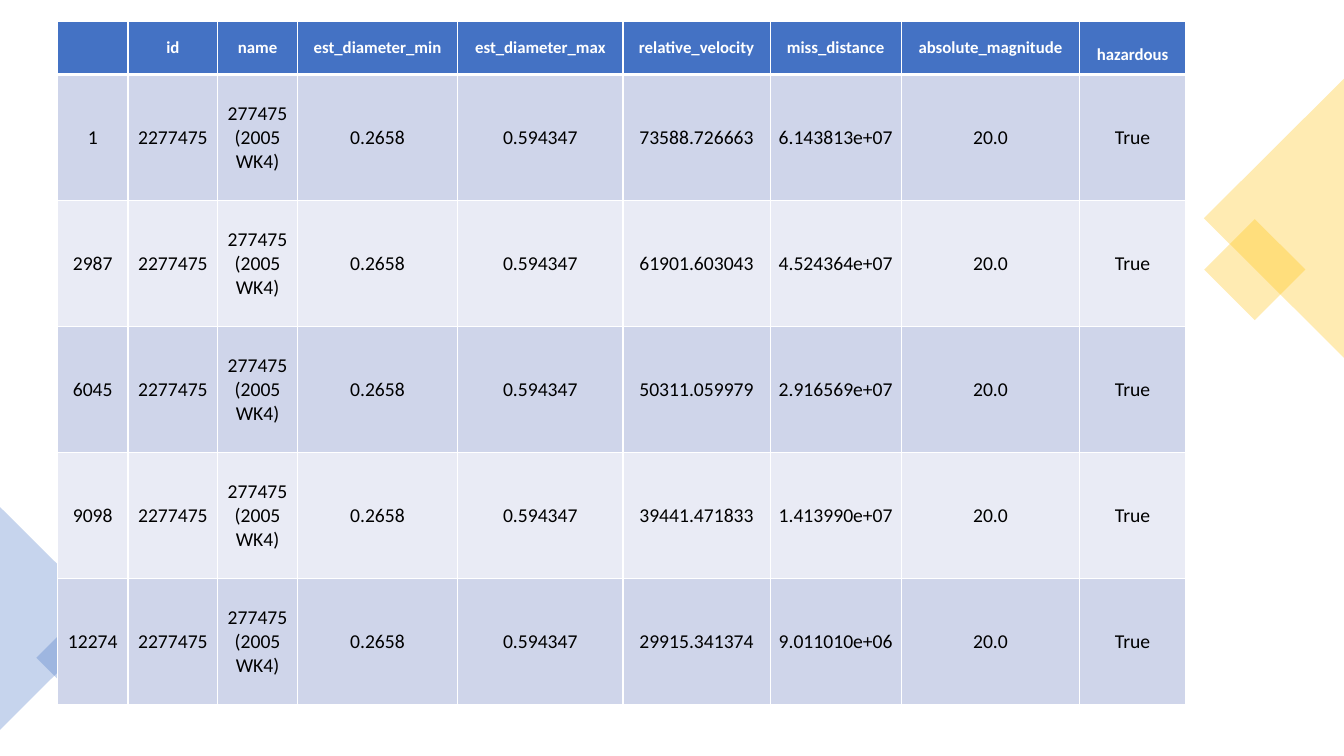
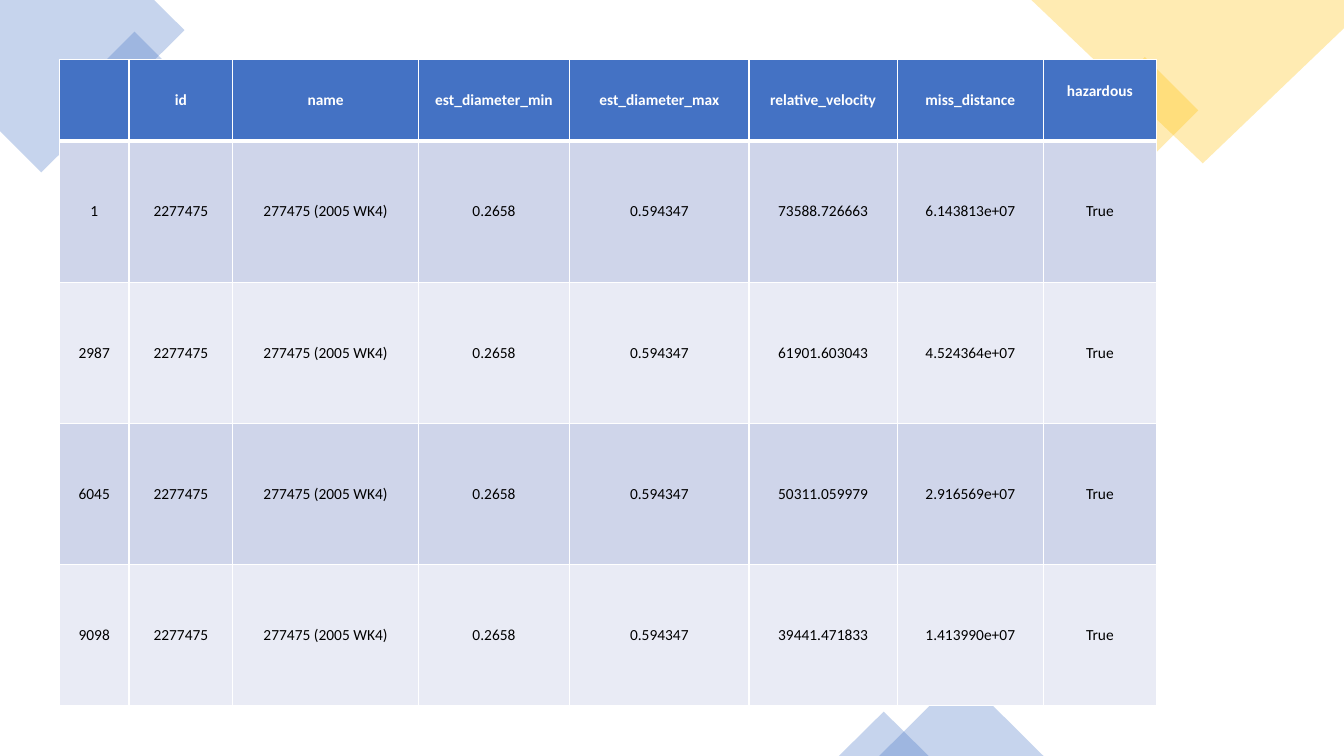
from lxml.etree import SubElement
from pptx import Presentation
from pptx.dml.color import RGBColor
from pptx.enum.shapes import MSO_SHAPE as Preset
from pptx.enum.text import MSO_ANCHOR as Anchor, PP_ALIGN as Align
from pptx.oxml.ns import qn
from pptx.util import Inches, Pt

BLUE, GOLD, WHITE, BLACK = "4472C4", "FFC000", "FFFFFF", "000000"
BANDS = ["CFD5EA", "E9EBF5"]
FONT = "Calibri"
LINE_HEIGHT = 1.22


def paint(fill, color, alpha=None):
    fill.solid()
    fill.fore_color.rgb = RGBColor.from_string(color)
    if alpha:
        tone = fill._xPr.find(qn("a:solidFill"))[0]
        SubElement(tone, qn("a:alpha")).set("val", str(alpha * 1000))


def add_border(cell, side, points):
    line = SubElement(cell._tc.get_or_add_tcPr(), qn(f"a:ln{side}"), w=str(Pt(points)))
    SubElement(SubElement(line, qn("a:solidFill")), qn("a:srgbClr"), val=WHITE)


fields = ["", "id", "name", "est_diameter_min", "est_diameter_max",
          "relative_velocity", "miss_distance", "absolute_magnitude", "hazardous"]
approaches = [
    ("1", "73588.726663", "6.143813e+07"),
    ("2987", "61901.603043", "4.524364e+07"),
    ("6045", "50311.059979", "2.916569e+07"),
    ("9098", "39441.471833", "1.413990e+07"),
    ("12274", "29915.341374", "9.011010e+06"),
]
records = [[index, "2277475", "277475 (2005 WK4)", "0.2658", "0.594347",
            velocity, distance, "20.0", "True"]
           for index, velocity, distance in approaches]
reduced = [row[:7] + row[8:] for row in [fields] + records[:4]]

pages = [
    {
        "presets": [
            (Preset.RECTANGLE, 12.09, 2.32, 0.71, 0.71, 45, GOLD),
            (Preset.ISOSCELES_TRIANGLE, 11.25, 1.47, 2.77, 1.39, 270, GOLD),
            (Preset.ISOSCELES_TRIANGLE, -0.55, 5.58, 2.21, 1.11, 90, BLUE),
            (Preset.RECTANGLE, 0.47, 6.26, 0.53, 0.53, 45, BLUE),
        ],
        "corners": [],
        "rows": [fields] + records,
        "place": (0.57, 0.21),
        "widths": [0.7, 0.89, 0.79, 1.59, 1.64, 1.46, 1.3, 1.77, 1.05],
        "heights": (0.53, 1.25),
        "sizes": (12, 14),
        "inset": 0.02,
    },
    {
        "presets": [
            (Preset.RECTANGLE, 0.98, 0.46, 0.71, 0.71, 315, BLUE),
            (Preset.RECTANGLE, 10.98, 0.72, 0.75, 0.75, 315, GOLD),
            (Preset.ISOSCELES_TRIANGLE, 8.72, 6.69, 1.63, 0.81, 0, BLUE),
            (Preset.ISOSCELES_TRIANGLE, 8.32, 7.06, 0.89, 0.44, 0, BLUE),
        ],
        "corners": [
            ([(1.53, 0), (0, 0), (0, 1.3), (0.41, 1.71), (1.83, 0.3)], BLUE),
            ([(13.33, 0), (10.23, 0), (11.93, 1.62), (13.33, 0.28)], GOLD),
        ],
        "rows": reduced,
        "place": (0.59, 0.59),
        "widths": [0.69, 1.03, 1.84, 1.5, 1.78, 1.47, 1.45, 1.12],
        "heights": (0.81, 1.4),
        "sizes": (11, 11),
        "inset": 0.03,
    },
]

deck = Presentation()
deck.slide_width, deck.slide_height = Inches(13.33), Inches(7.5)

for page in pages:
    slide = deck.slides.add_slide(deck.slide_layouts[6])

    decorations = []
    for points, color in page["corners"]:
        outline = slide.shapes.build_freeform(
            Inches(points[0][0]), Inches(points[0][1]), scale=1.0)
        outline.add_line_segments([(Inches(x), Inches(y)) for x, y in points[1:]])
        decorations.append((outline.convert_to_shape(), color))
    for preset, left, top, width, height, angle, color in page["presets"]:
        accent = slide.shapes.add_shape(
            preset, Inches(left), Inches(top), Inches(width), Inches(height))
        accent.rotation = angle
        decorations.append((accent, color))
    for decoration, color in decorations:
        decoration.shadow.inherit = False
        decoration.line.fill.background()
        paint(decoration.fill, color, 30)

    rows, widths = page["rows"], page["widths"]
    header_height, row_height = page["heights"]
    left, top = page["place"]
    asteroids = slide.shapes.add_table(
        len(rows), len(widths), Inches(left), Inches(top), Inches(sum(widths)),
        Inches(header_height + row_height * (len(rows) - 1))).table
    for column, width in zip(asteroids.columns, widths):
        column.width = Inches(width)

    for r, values in enumerate(rows):
        header = r == 0
        size = page["sizes"][0 if header else 1]
        asteroids.rows[r].height = Inches(header_height if header else row_height)
        for c, value in enumerate(values):
            cell = asteroids.cell(r, c)
            for side in "LRTB":
                thick = (r, side) in [(0, "B"), (1, "T")]
                add_border(cell, side, 3 if thick else 1)
            paint(cell.fill, BLUE if header else BANDS[(r - 1) % 2])
            cell.vertical_anchor = Anchor.MIDDLE
            cell.margin_left = cell.margin_right = Inches(0.05)
            cell.margin_top = cell.margin_bottom = Inches(page["inset"])
            if value == "hazardous":
                cell.vertical_anchor = Anchor.TOP
                cell.margin_top = Inches(0.03 + size * LINE_HEIGHT / 72)
            cell.text_frame.text = value
            paragraph = cell.text_frame.paragraphs[0]
            paragraph.alignment = Align.CENTER
            for run in paragraph.runs:
                run.font.name = FONT
                run.font.size = Pt(size)
                run.font.bold = header
                run.font.color.rgb = RGBColor.from_string(WHITE if header else BLACK)

deck.save("out.pptx")
